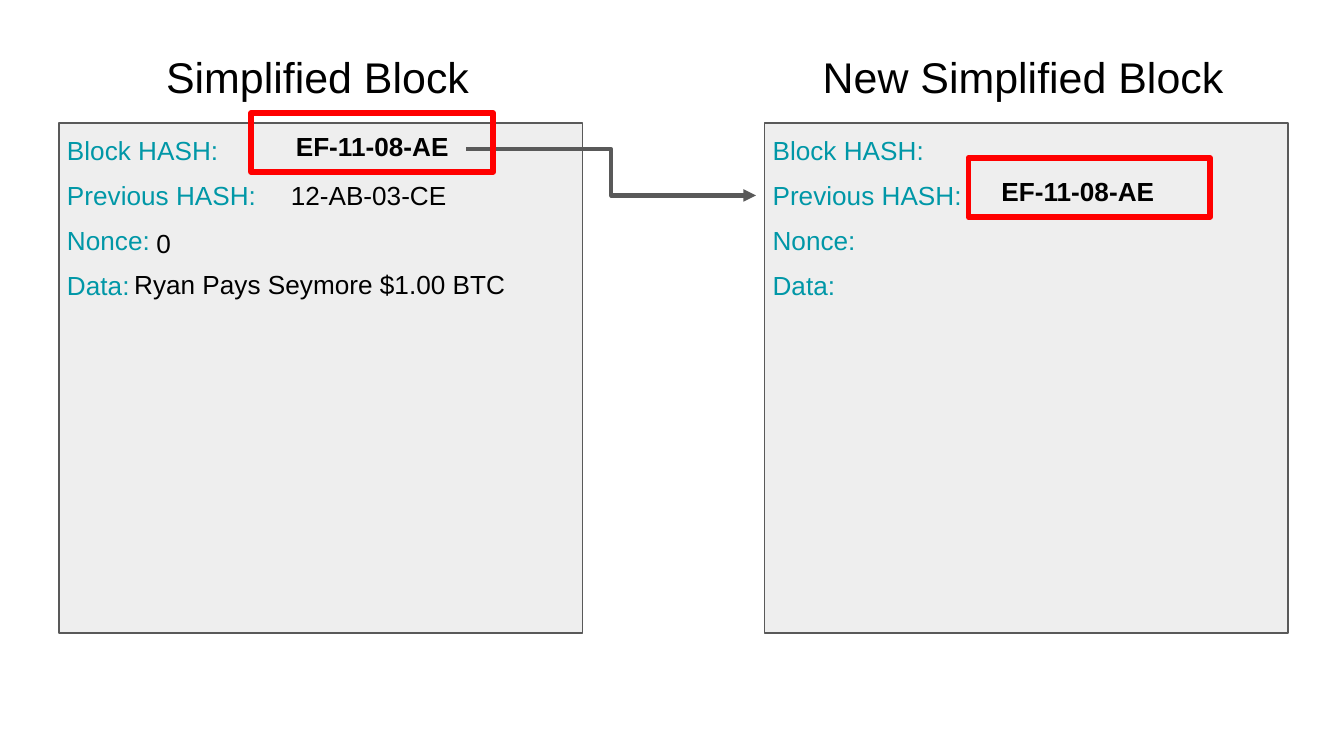
from dataclasses import dataclass

import lxml.etree
import pptx
import pptx.dml.color
import pptx.enum.shapes
import pptx.enum.text
import pptx.oxml.ns
import pptx.util

PX = 4572  # EMU per px, at 200 px to the inch
SLIDE_WIDTH, SLIDE_HEIGHT = 2000, 1125
FONT = "Arial"
BLACK = pptx.dml.color.RGBColor(0x00, 0x00, 0x00)
TEAL = pptx.dml.color.RGBColor(0x00, 0x97, 0xA7)
RED = pptx.dml.color.RGBColor(0xFF, 0x00, 0x00)
DARK_GRAY = pptx.dml.color.RGBColor(0x59, 0x59, 0x59)
LIGHT_GRAY = pptx.dml.color.RGBColor(0xEE, 0xEE, 0xEE)

FIELDS = ("Block HASH:", "Previous HASH:", "Nonce:", "Data:")
FIRST_FIELD_TOP, FIELD_PITCH = 180, 67
LABEL_WIDTH, ROW_HEIGHT = 604, 88
MARGIN = 20


@dataclass(frozen=True)
class Box:
    left: int
    top: int
    width: int
    height: int

    def emu(self) -> list[int]:
        return [value * PX for value in (self.left, self.top, self.width, self.height)]


@dataclass(frozen=True)
class Label:
    text: str
    box: Box
    color: pptx.dml.color.RGBColor = BLACK
    size: int = 14
    bold: bool = False
    centered: bool = False


@dataclass(frozen=True)
class Block:
    heading: str
    left: int
    values: tuple[Label, ...]


def add_label(slide, label: Label) -> None:
    text_box = slide.shapes.add_textbox(*label.box.emu())
    frame = text_box.text_frame
    frame.word_wrap = True
    frame.auto_size = pptx.enum.text.MSO_AUTO_SIZE.SHAPE_TO_FIT_TEXT
    frame.margin_left = frame.margin_right = MARGIN * PX
    frame.margin_top = frame.margin_bottom = MARGIN * PX
    paragraph = frame.paragraphs[0]
    if label.centered:
        paragraph.alignment = pptx.enum.text.PP_ALIGN.CENTER
    run = paragraph.add_run()
    run.text = label.text
    run.font.name = FONT
    run.font.size = pptx.util.Pt(label.size)
    run.font.bold = label.bold
    run.font.color.rgb = label.color


def style_line(line, color: pptx.dml.color.RGBColor, width: float):
    """Colour a line with round joins and return its XML element."""
    line.color.rgb = color
    line.width = pptx.util.Pt(width)
    element = line._get_or_add_ln()
    lxml.etree.SubElement(element, pptx.oxml.ns.qn("a:round"))
    return element


def add_rectangle(slide, box: Box, line_color: pptx.dml.color.RGBColor,
                  line_width: float, fill: pptx.dml.color.RGBColor | None = None) -> None:
    shape = slide.shapes.add_shape(pptx.enum.shapes.MSO_SHAPE.RECTANGLE, *box.emu())
    shape.shadow.inherit = False
    if fill is None:
        shape.fill.background()
    else:
        shape.fill.solid()
        shape.fill.fore_color.rgb = fill
    style_line(shape.line, line_color, line_width)


def add_elbow_arrow(slide, start: tuple[int, int], end: tuple[int, int]) -> None:
    connector = slide.shapes.add_connector(
        pptx.enum.shapes.MSO_CONNECTOR.ELBOW, *(value * PX for value in start + end))
    line = style_line(connector.line, DARK_GRAY, 2.25)
    lxml.etree.SubElement(line, pptx.oxml.ns.qn("a:tailEnd"), type="triangle")
    properties = connector._element.spPr
    lxml.etree.SubElement(properties, pptx.oxml.ns.qn("a:effectLst"))


def add_block(slide, block: Block) -> None:
    add_rectangle(slide, Box(block.left, 183, 779, 759), DARK_GRAY, 0.75, LIGHT_GRAY)
    for row, field in enumerate(FIELDS):
        top = FIRST_FIELD_TOP + row * FIELD_PITCH
        add_label(slide, Label(field, Box(block.left - 8, top, LABEL_WIDTH, ROW_HEIGHT), TEAL))
    add_label(slide, Label(block.heading, Box(block.left - 9, 56, 788, 118),
                           size=23, centered=True))
    for value in block.values:
        add_label(slide, value)


def hash_label(left: int, top: int) -> Label:
    return Label("EF-11-08-AE", Box(left, top, LABEL_WIDTH, ROW_HEIGHT),
                 bold=True, centered=True)


BLOCKS = (
    Block("Simplified Block", 88, (
        Label("12-AB-03-CE", Box(413, 247, LABEL_WIDTH, ROW_HEIGHT)),
        Label("Ryan Pays Seymore $1.00 BTC", Box(180, 380, 652, ROW_HEIGHT)),
        Label("0", Box(213, 318, 94, ROW_HEIGHT)),
        hash_label(252, 174),
    )),
    Block("New Simplified Block", 1138, (hash_label(1302, 241),)),
)
HIGHLIGHTS = (Box(374, 168, 360, 88), Box(1441, 235, 360, 88))


def main() -> None:
    presentation = pptx.Presentation()
    presentation.slide_width = SLIDE_WIDTH * PX
    presentation.slide_height = SLIDE_HEIGHT * PX
    slide = presentation.slides.add_slide(presentation.slide_layouts[6])

    # Two blocks side by side
    for block in BLOCKS:
        add_block(slide, block)

    # The block hash becomes the next block's previous hash
    add_elbow_arrow(slide, (694, 222), (1125, 291))
    for highlight in HIGHLIGHTS:
        add_rectangle(slide, highlight, RED, 3)

    presentation.save("out.pptx")


if __name__ == "__main__":
    main()
